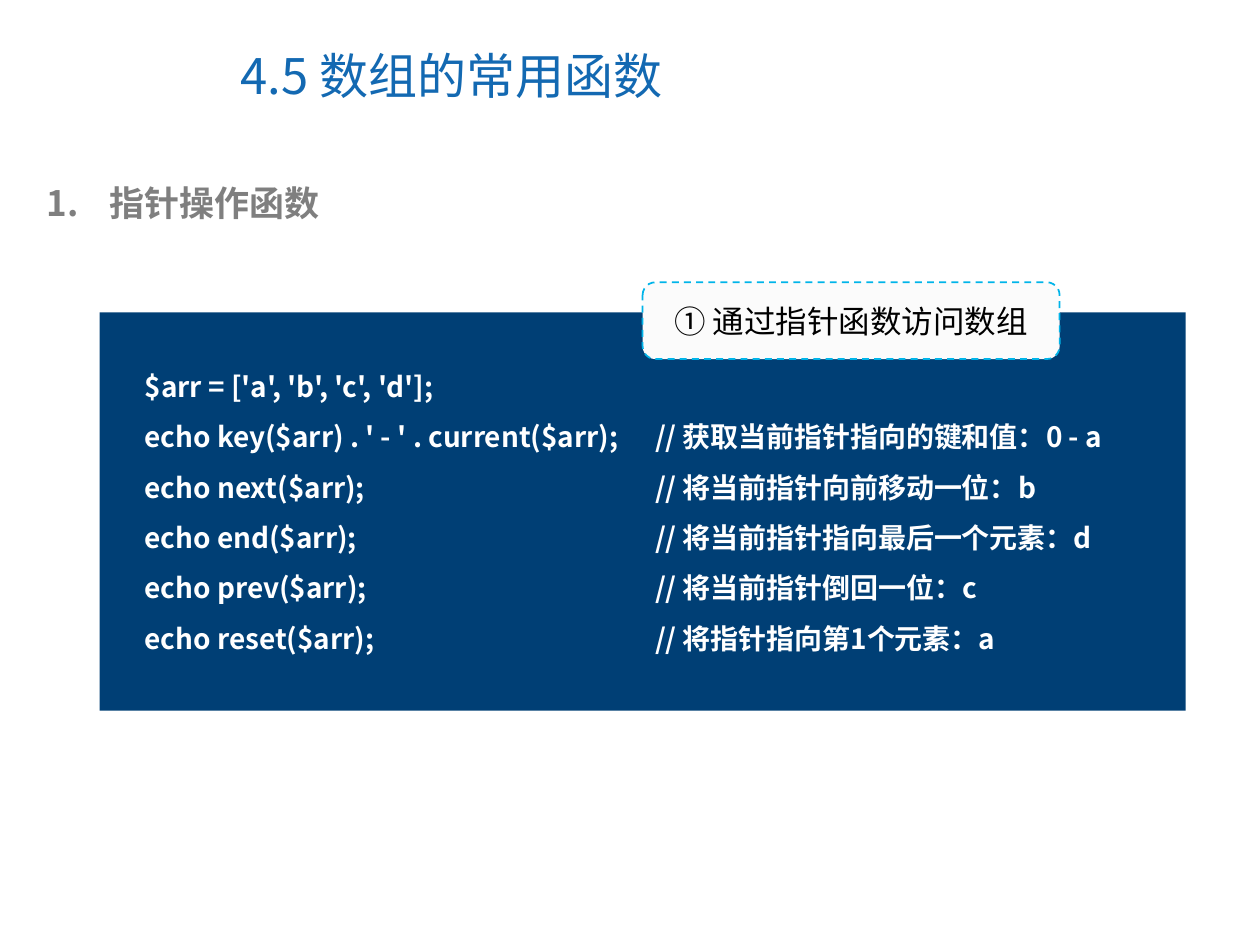
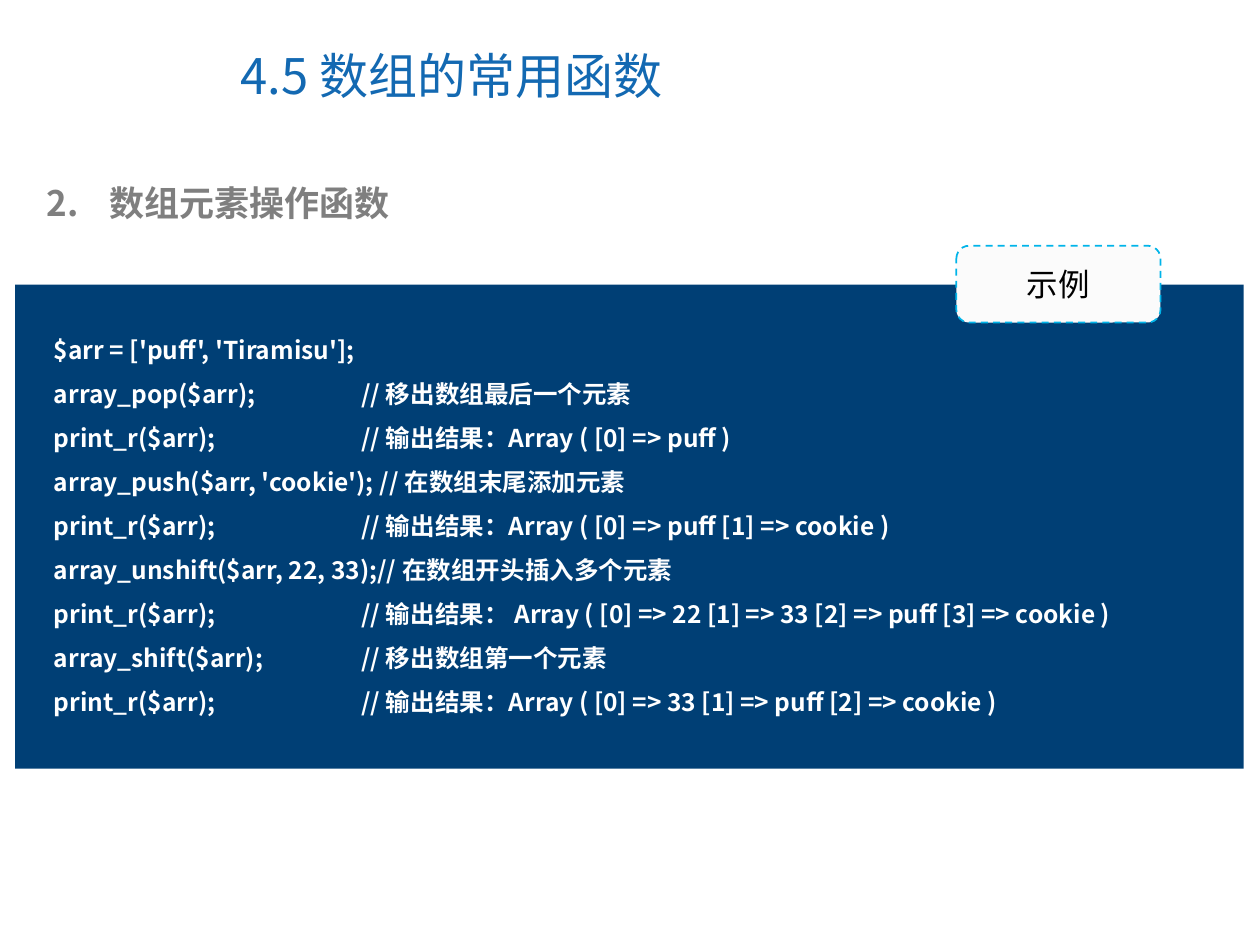
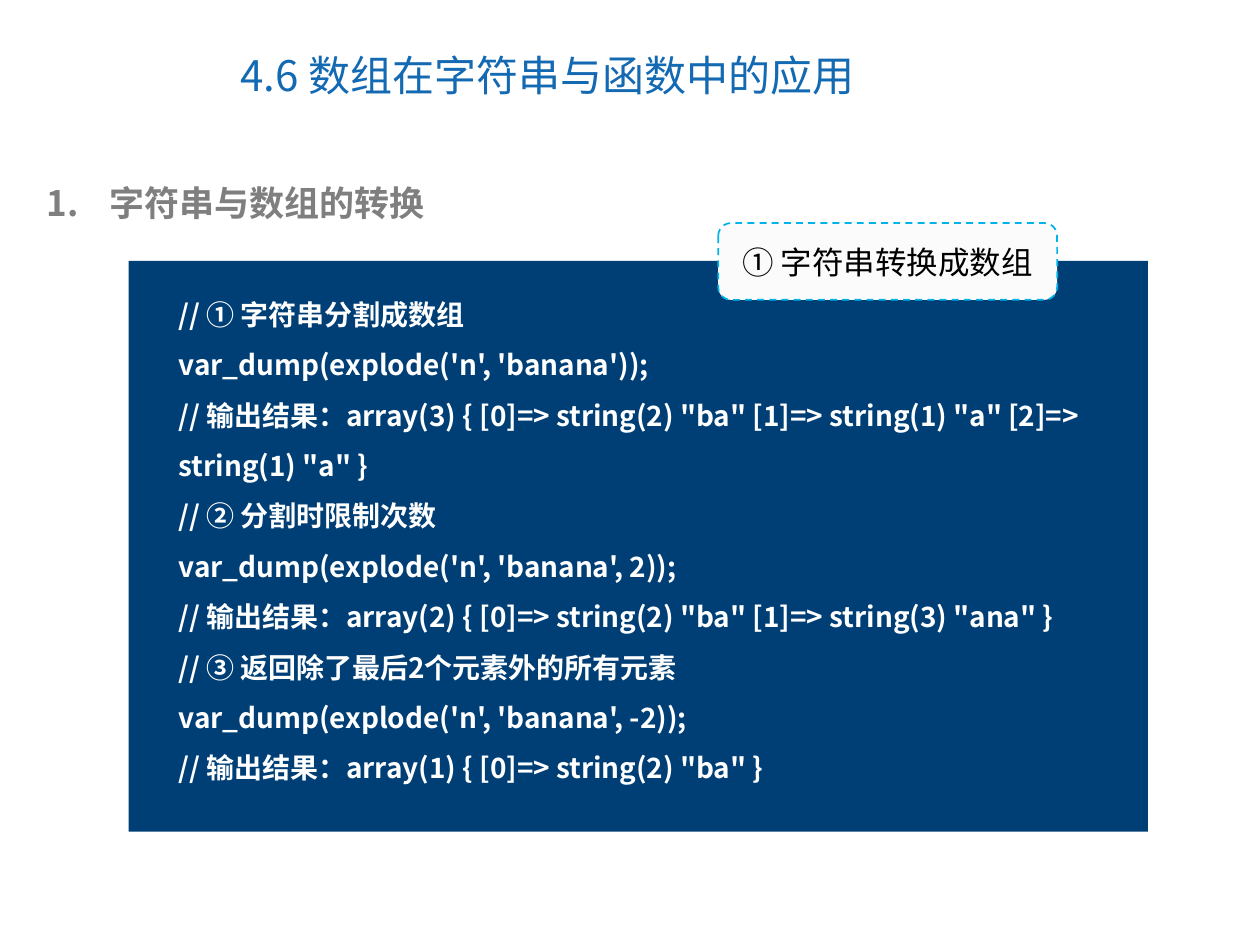
from dataclasses import dataclass

from lxml import etree
from pptx import Presentation
from pptx.dml.color import RGBColor
from pptx.enum.dml import MSO_LINE
from pptx.enum.shapes import MSO_SHAPE
from pptx.enum.text import MSO_ANCHOR, MSO_AUTO_SIZE, PP_ALIGN
from pptx.oxml.ns import qn
from pptx.util import Inches, Pt

TITLE_BLUE = RGBColor(0x13, 0x69, 0xB2)
HEADING_GRAY = RGBColor(0x7F, 0x7F, 0x7F)
PANEL_NAVY = RGBColor(0x00, 0x3F, 0x75)
LABEL_FILL = RGBColor(0xFB, 0xFB, 0xFB)
LABEL_LINE = RGBColor(0x00, 0xB4, 0xE9)
WHITE = RGBColor(0xFF, 0xFF, 0xFF)
BLACK = RGBColor(0x00, 0x00, 0x00)

CJK_FONT = "Noto Sans CJK SC"
LABEL_FONT = "Arial"

RECTANGLE = MSO_SHAPE.RECTANGLE
ROUNDED = MSO_SHAPE.ROUNDED_RECTANGLE
DASH = MSO_LINE.DASH
MIDDLE = MSO_ANCHOR.MIDDLE
LEFT = PP_ALIGN.LEFT
CENTER = PP_ALIGN.CENTER
FIT_SHAPE = MSO_AUTO_SIZE.SHAPE_TO_FIT_TEXT
NO_FIT = MSO_AUTO_SIZE.NONE

TITLE_ONLY = 5
LABEL_HEIGHT = 0.61


@dataclass(frozen=True)
class Area:
    left: float
    top: float
    width: float
    height: float

    def lengths(self) -> tuple:
        return tuple(Inches(n) for n in (self.left, self.top, self.width, self.height))


@dataclass(frozen=True)
class Lesson:
    title: str
    title_size: int
    number: int
    heading: str
    panel: Area
    code_area: Area
    code_size: int
    code: str
    label: str
    label_area: Area
    comment_tab: float = 0


TITLE_AREA = Area(1.81, 0.17, 5.16, 0.85)
HEADING_AREA = Area(0.27, 1.39, 9.22, 0.44)

LESSONS = [
    Lesson(
        title="4.5 数组的常用函数",
        title_size=28,
        number=1,
        heading="指针操作函数",
        panel=Area(0.79, 2.48, 8.62, 3.16),
        code_area=Area(1.05, 2.75, 8.42, 2.5),
        code_size=16,
        code="""$arr = ['a', 'b', 'c', 'd'];
echo key($arr) . ' - ' . current($arr);\t// 获取当前指针指向的键和值：0 - a
echo next($arr);\t// 将当前指针向前移动一位：b
echo end($arr);\t// 将当前指针指向最后一个元素：d
echo prev($arr);\t// 将当前指针倒回一位：c
echo reset($arr);\t// 将指针指向第1个元素：a""",
        label="① 通过指针函数访问数组",
        label_area=Area(5.1, 2.24, 3.31, LABEL_HEIGHT),
        comment_tab=4.05,
    ),
    Lesson(
        title="4.5 数组的常用函数",
        title_size=28,
        number=2,
        heading="数组元素操作函数",
        panel=Area(0.12, 2.26, 9.75, 3.84),
        code_area=Area(0.33, 2.49, 9.54, 3.25),
        code_size=14,
        code="""$arr = ['puff', 'Tiramisu'];
array_pop($arr);\t// 移出数组最后一个元素
print_r($arr);\t// 输出结果：Array ( [0] => puff )
array_push($arr, 'cookie'); // 在数组末尾添加元素
print_r($arr);\t// 输出结果：Array ( [0] => puff [1] => cookie )
array_unshift($arr, 22, 33);// 在数组开头插入多个元素
print_r($arr);\t// 输出结果： Array ( [0] => 22 [1] => 33 [2] => puff [3] => cookie )
array_shift($arr);\t// 移出数组第一个元素
print_r($arr);\t// 输出结果：Array ( [0] => 33 [1] => puff [2] => cookie )""",
        label="示例",
        label_area=Area(7.59, 1.95, 1.62, LABEL_HEIGHT),
        comment_tab=2.44,
    ),
    Lesson(
        title="4.6 数组在字符串与函数中的应用",
        title_size=24,
        number=1,
        heading="字符串与数组的转换",
        panel=Area(1.02, 2.07, 8.09, 4.53),
        code_area=Area(1.32, 2.18, 7.64, 4.1),
        code_size=16,
        code="""// ① 字符串分割成数组
var_dump(explode('n', 'banana'));
// 输出结果：array(3) { [0]=> string(2) "ba" [1]=> string(1) "a" [2]=> string(1) "a" }
// ② 分割时限制次数
var_dump(explode('n', 'banana', 2));
// 输出结果：array(2) { [0]=> string(2) "ba" [1]=> string(3) "ana" }
// ③ 返回除了最后2个元素外的所有元素
var_dump(explode('n', 'banana', -2));
// 输出结果：array(1) { [0]=> string(2) "ba" }""",
        label="① 字符串转换成数组",
        label_area=Area(5.7, 1.77, 2.69, LABEL_HEIGHT),
    ),
]


def format_text(frame, size: int, color: RGBColor, bold: bool = False,
                font: str = CJK_FONT) -> None:
    for para in frame.paragraphs:
        for span in para.runs:
            span.font.size = Pt(size)
            span.font.bold = bold
            span.font.color.rgb = color
            span.font.name = font
            east_asian = etree.SubElement(span.font._element, qn("a:ea"))
            east_asian.set("typeface", CJK_FONT)


def add_text_box(shapes, area: Area, text: str):
    frame = shapes.add_textbox(*area.lengths()).text_frame
    frame.word_wrap = True
    frame.auto_size = FIT_SHAPE
    frame.text = text
    return frame


def add_filled_shape(shapes, kind, area: Area, fill: RGBColor):
    shape = shapes.add_shape(kind, *area.lengths())
    shape.shadow.inherit = False
    shape.fill.solid()
    shape.fill.fore_color.rgb = fill
    shape.line.fill.background()
    return shape


def set_title(page, text: str, size: int) -> None:
    title = page.shapes.title
    title.left, title.top, title.width, title.height = TITLE_AREA.lengths()
    frame = title.text_frame
    frame.text = text
    frame.vertical_anchor = MIDDLE
    frame.auto_size = NO_FIT
    frame.paragraphs[0].alignment = LEFT
    format_text(frame, size, TITLE_BLUE)


def add_heading(page, number: int, text: str) -> None:
    frame = add_text_box(page.shapes, HEADING_AREA, text)
    properties = frame.paragraphs[0]._p.get_or_add_pPr()
    properties.set("marL", str(Inches(0.5)))
    properties.set("indent", str(Inches(-0.5)))
    bullet = etree.SubElement(properties, qn("a:buAutoNum"))
    bullet.set("type", "arabicPeriod")
    bullet.set("startAt", str(number))
    format_text(frame, 20, HEADING_GRAY, bold=True)


def add_code_panel(page, lesson: Lesson) -> None:
    group = page.shapes.add_group_shape()
    add_filled_shape(group.shapes, RECTANGLE, lesson.panel, PANEL_NAVY)
    frame = add_text_box(group.shapes, lesson.code_area, lesson.code)
    for para in frame.paragraphs:
        para.line_spacing = 1.5
        if lesson.comment_tab:
            tabs = etree.SubElement(para._p.get_or_add_pPr(), qn("a:tabLst"))
            tab = etree.SubElement(tabs, qn("a:tab"))
            tab.set("pos", str(Inches(lesson.comment_tab)))
            tab.set("algn", "l")
    format_text(frame, lesson.code_size, WHITE, bold=True)


def add_label(page, area: Area, text: str) -> None:
    label = add_filled_shape(page.shapes, ROUNDED, area, LABEL_FILL)
    label.line.color.rgb = LABEL_LINE
    label.line.width = Pt(1)
    label.line.dash_style = DASH
    frame = label.text_frame
    frame.text = text
    frame.word_wrap = True
    frame.vertical_anchor = MIDDLE
    frame.paragraphs[0].alignment = CENTER
    format_text(frame, 18, BLACK, font=LABEL_FONT)


def main() -> None:
    deck = Presentation()
    deck.slide_width = Inches(10)
    deck.slide_height = Inches(7.5)
    for lesson in LESSONS:
        page = deck.slides.add_slide(deck.slide_layouts[TITLE_ONLY])
        set_title(page, lesson.title, lesson.title_size)
        add_heading(page, lesson.number, lesson.heading)
        add_code_panel(page, lesson)
        add_label(page, lesson.label_area, lesson.label)
    deck.save("out.pptx")


if __name__ == "__main__":
    main()
